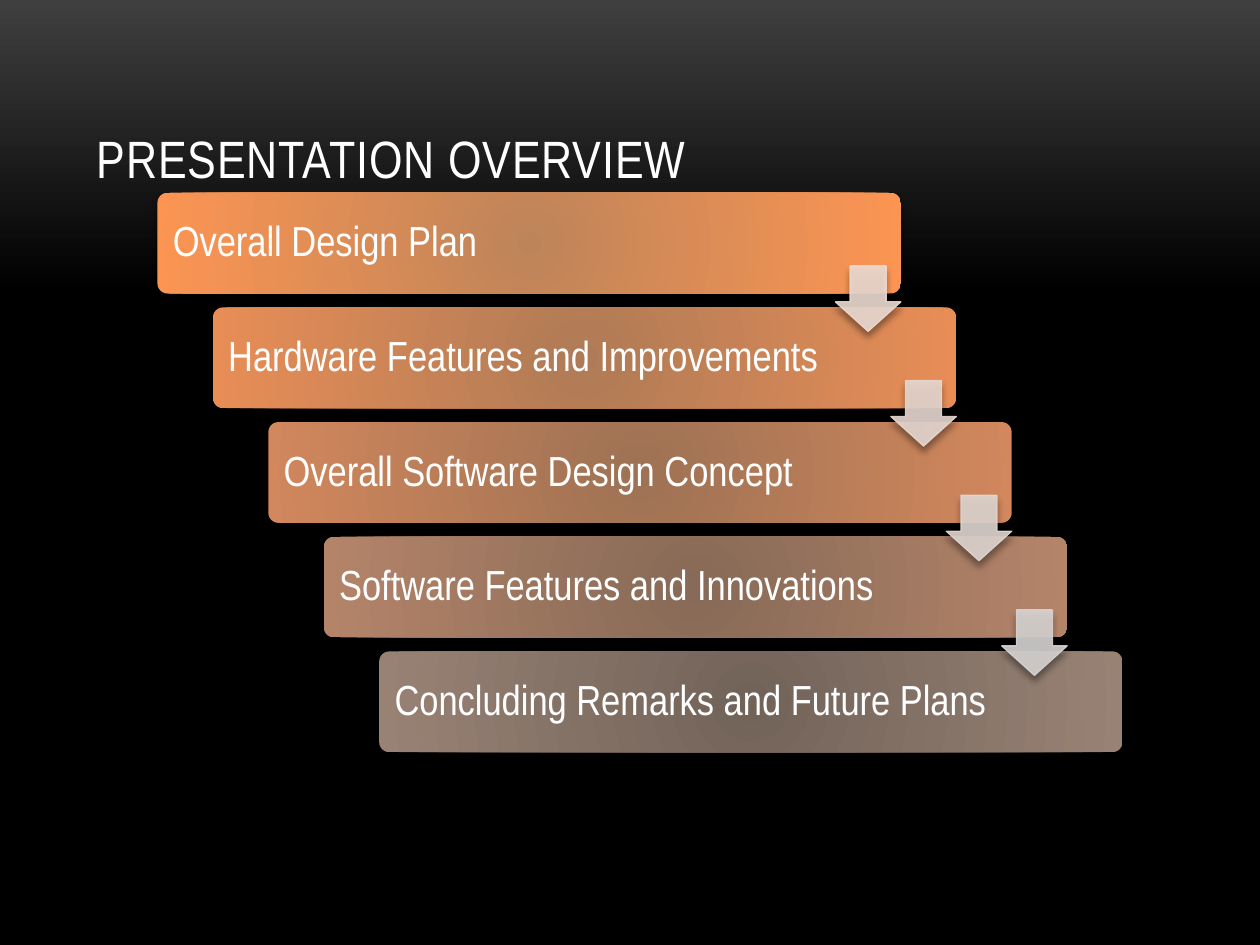
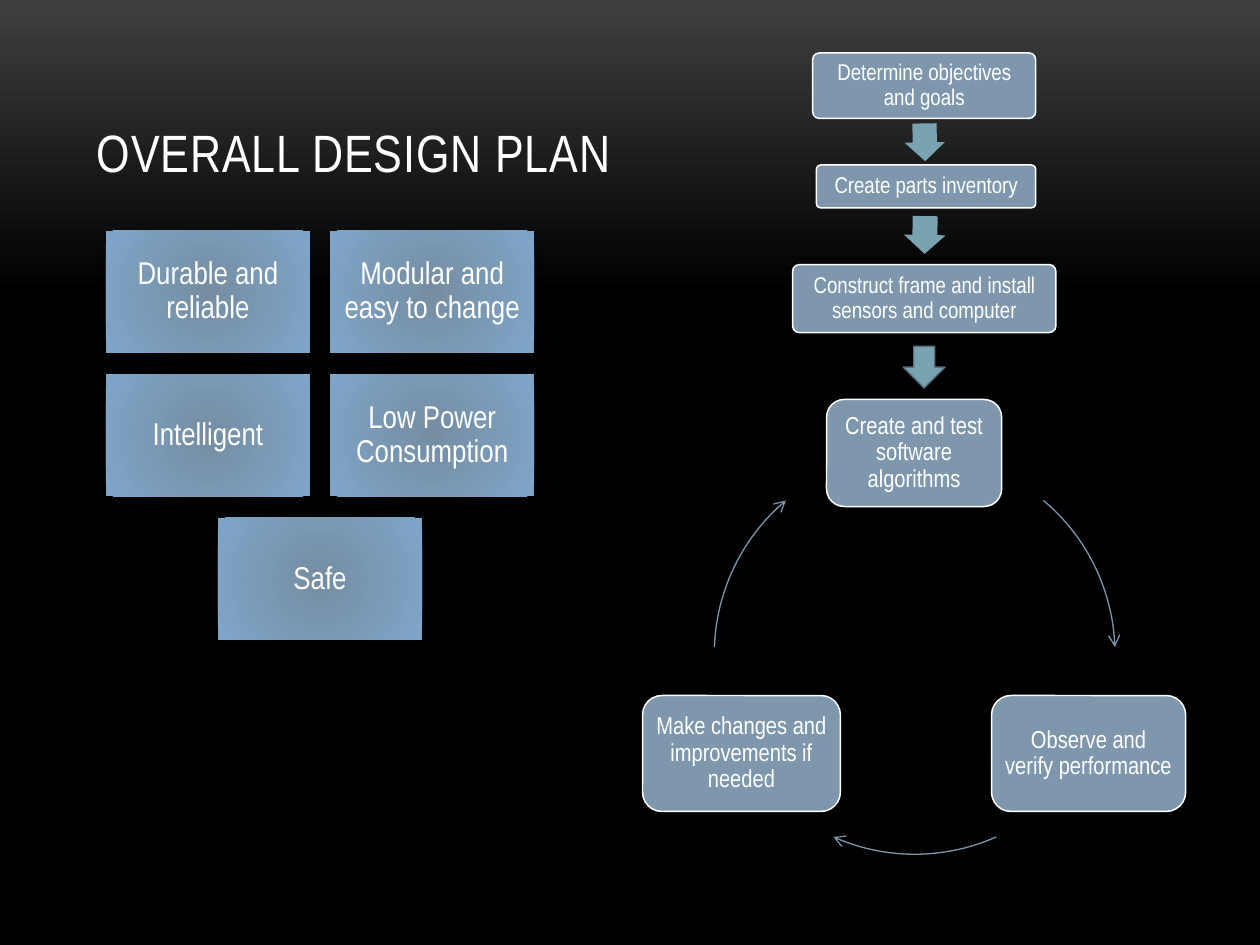
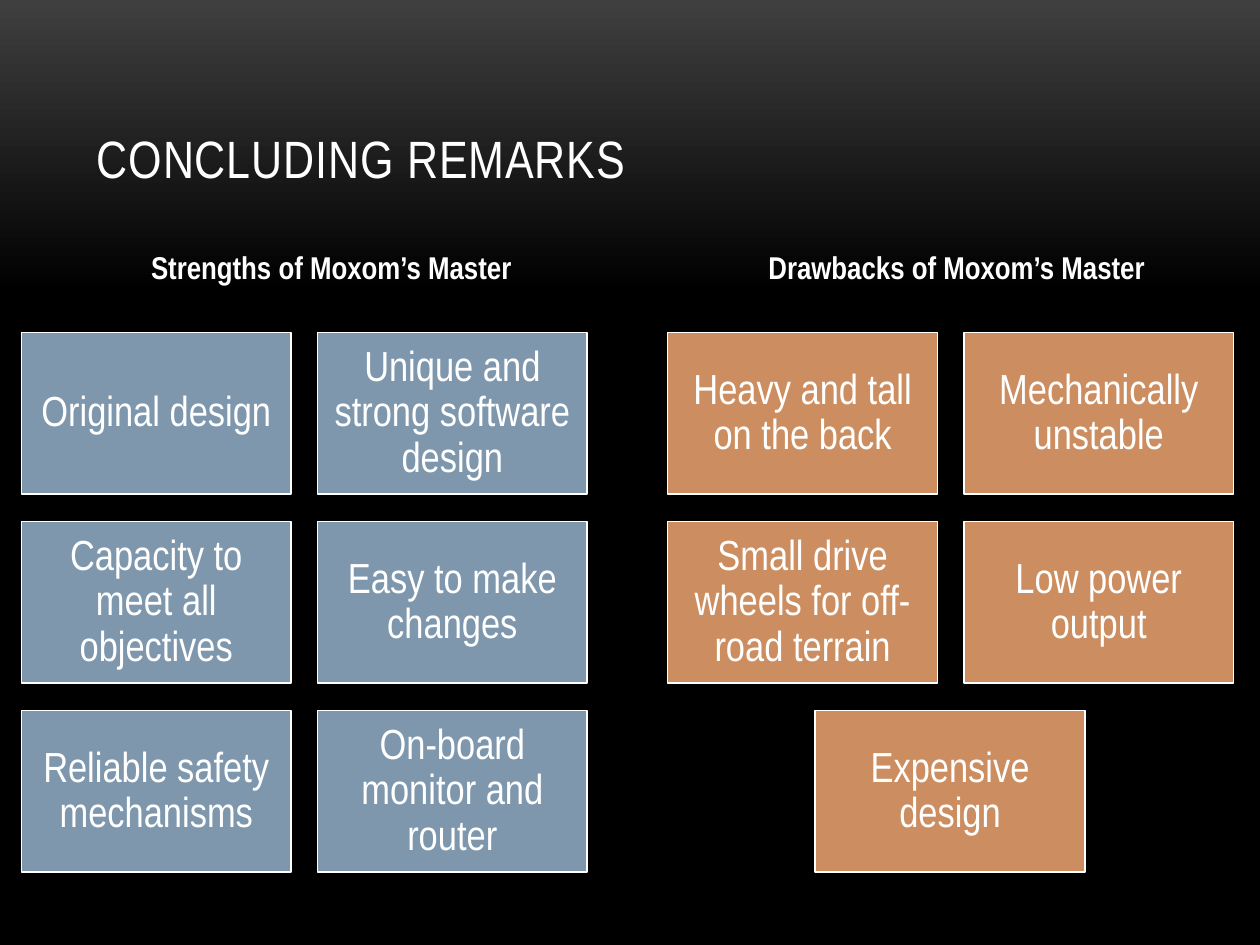
from dataclasses import dataclass
from math import cos, radians, sin
from typing import Optional

from lxml.etree import SubElement
from pptx import Presentation
from pptx.dml.color import RGBColor
from pptx.enum.shapes import MSO_SHAPE
from pptx.enum.text import MSO_ANCHOR, PP_ALIGN
from pptx.oxml.ns import qn
from pptx.util import Emu, Pt

EMU_PER_PX = 9144
FONT = "Arial Narrow"

WHITE = RGBColor(0xFF, 0xFF, 0xFF)
BLACK = RGBColor(0x00, 0x00, 0x00)
CHARCOAL = RGBColor(0x3F, 0x3F, 0x3F)
SLATE = RGBColor(0x7E, 0x97, 0xAD)
SLATE_DARK = RGBColor(0x5D, 0x70, 0x80)
TEAL = RGBColor(0x7A, 0xA3, 0xB2)
COPPER = RGBColor(0xCC, 0x8E, 0x60)
BLUE_CORE = RGBColor(0x75, 0x8D, 0xA1)
BLUE_EDGE = RGBColor(0x7F, 0xA6, 0xCA)


@dataclass(frozen=True)
class Rect:
    x: int
    y: int
    w: int
    h: int


@dataclass(frozen=True)
class BoxStyle:
    fill: RGBColor
    size: int
    inset: int
    edge: Optional[RGBColor] = None
    shape: MSO_SHAPE = MSO_SHAPE.RECTANGLE
    corner: Optional[float] = None
    align: PP_ALIGN = PP_ALIGN.CENTER


@dataclass(frozen=True)
class Step:
    text: str
    rect: Rect


@dataclass(frozen=True)
class Bar:
    text: str
    core: RGBColor
    edge: RGBColor
    arrow: Optional[RGBColor] = None


@dataclass(frozen=True)
class Panel:
    heading: str
    heading_rect: Rect
    left: int
    fill: RGBColor
    labels: tuple[str, ...]


BARS = (
    Bar("Overall Design Plan", RGBColor(0xBE, 0x84, 0x59),
        RGBColor(0xFC, 0x95, 0x53), RGBColor(0xEC, 0xDB, 0xD2)),
    Bar("Hardware Features and Improvements", RGBColor(0xAF, 0x7B, 0x56),
        RGBColor(0xE8, 0x8D, 0x56), RGBColor(0xE6, 0xD8, 0xD1)),
    Bar("Overall Software Design Concept", RGBColor(0x9E, 0x72, 0x54),
        RGBColor(0xD2, 0x87, 0x5C), RGBColor(0xDF, 0xD6, 0xD1)),
    Bar("Software Features and Innovations", RGBColor(0x87, 0x6A, 0x57),
        RGBColor(0xB4, 0x84, 0x69), RGBColor(0xD7, 0xD4, 0xD2)),
    Bar("Concluding Remarks and Future Plans", RGBColor(0x72, 0x63, 0x59),
        RGBColor(0x98, 0x82, 0x74)),
)

GOALS = ("Durable and reliable", "Modular and easy to change", "Intelligent",
         "Low Power Consumption", "Safe")
GOAL_STYLE = BoxStyle(BLUE_CORE, 18, 7, BLUE_EDGE)

FLOW = (
    Step("Determine objectives and goals", Rect(645, 42, 177, 52)),
    Step("Create parts inventory", Rect(648, 131, 174, 34)),
    Step("Construct frame and install sensors and computer", Rect(629, 210, 209, 54)),
)
FLOW_STYLE = BoxStyle(SLATE, 13, 5, shape=MSO_SHAPE.ROUNDED_RECTANGLE, corner=0.1)
FLOW_ARROWS = ((Rect(719, 97, 30, 32), 89), (Rect(719, 170, 30, 33), 90.9))

CYCLE = (
    Step("Create and test software algorithms", Rect(656, 317, 139, 85)),
    Step("Observe and verify performance", Rect(787, 552, 154, 92)),
    Step("Make changes and improvements if needed", Rect(510, 552, 157, 92)),
)
CYCLE_STYLE = BoxStyle(SLATE, 14, 6, shape=MSO_SHAPE.ROUNDED_RECTANGLE)
CYCLE_CENTRE = (726, 519)
CYCLE_RADIUS = 159
ARC_STARTS = (-50, 66, 182)
ARC_SWEEP = 48

PANELS = (
    Panel("Strengths of Moxom’s Master", Rect(110, 192, 309, 40), 17, SLATE,
          ("Original design", "Unique and strong software design",
           "Capacity to meet all objectives", "Easy to make changes",
           "Reliable safety mechanisms", "On-board monitor and router")),
    Panel("Drawbacks of Moxom’s Master", Rect(600, 192, 322, 40), 530, COPPER,
          ("Heavy and tall on the back", "Mechanically unstable",
           "Small drive wheels for off-road terrain", "Low power output",
           "Expensive design")),
)


def px(n: float) -> Emu:
    return Emu(round(n * EMU_PER_PX))


def place(rect: Rect) -> tuple[Emu, Emu, Emu, Emu]:
    return px(rect.x), px(rect.y), px(rect.w), px(rect.h)


def add_run(p, text: str, size: int, bold: bool = False):
    r = p.add_run()
    r.text = text
    r.font.name = FONT
    r.font.size = Pt(size)
    r.font.bold = bold
    r.font.color.rgb = WHITE
    return r


def set_stops(fill, first: RGBColor, last: RGBColor, end: float = 1.0) -> None:
    fill.gradient()
    for stop, color, position in zip(fill.gradient_stops, (first, last), (0, end)):
        stop.color.rgb = color
        stop.position = position


def set_radial(sp, core: RGBColor, edge: RGBColor) -> None:
    set_stops(sp.fill, core, edge)
    grad = sp._element.spPr.find(qn("a:gradFill"))
    grad.remove(grad.find(qn("a:lin")))
    path = SubElement(grad, qn("a:path"), path="circle")
    SubElement(path, qn("a:fillToRect"), {side: "100000" for side in "ltrb"})


def set_shadow(sp, distance: float) -> None:
    effects = sp._element.spPr.find(qn("a:effectLst"))
    shadow = SubElement(effects, qn("a:outerShdw"), blurRad=str(Pt(4)),
                        dist=str(Pt(distance)), dir="5400000", rotWithShape="0")
    color = SubElement(shadow, qn("a:srgbClr"), val=str(BLACK))
    SubElement(color, qn("a:alpha"), val="40000")


def add_plain(s, shape: MSO_SHAPE, rect: Rect, fill: RGBColor,
              line: Optional[RGBColor] = None, width: float = 0.85):
    sp = s.shapes.add_shape(shape, *place(rect))
    sp.shadow.inherit = False
    sp.fill.solid()
    sp.fill.fore_color.rgb = fill
    if line is None:
        sp.line.fill.background()
    else:
        sp.line.color.rgb = line
        sp.line.width = Pt(width)
    return sp


def add_box(s, text: str, rect: Rect, style: BoxStyle) -> None:
    sp = add_plain(s, style.shape, rect, style.fill, None if style.edge else WHITE)
    if style.corner is not None:
        sp.adjustments[0] = style.corner
    if style.edge:
        set_radial(sp, style.fill, style.edge)
        set_shadow(sp, 2)
    tf = sp.text_frame
    tf.word_wrap = True
    tf.vertical_anchor = MSO_ANCHOR.MIDDLE
    tf.margin_left = tf.margin_right = tf.margin_top = tf.margin_bottom = px(style.inset)
    p = tf.paragraphs[0]
    p.alignment = style.align
    p.line_spacing = 0.9
    p.space_after = Pt(round(style.size * 0.35))
    add_run(p, text, style.size)


def add_pair_grid(s, labels: tuple[str, ...], first: Rect, pitch_x: int,
                  pitch_y: int, style: BoxStyle) -> None:
    for i, label in enumerate(labels):
        row, col = divmod(i, 2)
        alone = col == 0 and i == len(labels) - 1
        x = first.x + (pitch_x // 2 if alone else col * pitch_x)
        add_box(s, label, Rect(x, first.y + row * pitch_y, first.w, first.h), style)


def add_glass_arrow(s, rect: Rect, color: RGBColor) -> None:
    sp = add_plain(s, MSO_SHAPE.DOWN_ARROW, rect, color, color, 0.75)
    sp.adjustments[0] = 0.55
    sp.adjustments[1] = 0.45
    for clr in sp._element.spPr.iter(qn("a:srgbClr")):
        SubElement(clr, qn("a:alpha"), val="90000")
    set_shadow(sp, 3.4)


def add_cycle_arc(s, start: int) -> None:
    cx, cy = CYCLE_CENTRE
    points = [(px(cx + CYCLE_RADIUS * cos(radians(a))),
               px(cy + CYCLE_RADIUS * sin(radians(a))))
              for a in range(start, start + ARC_SWEEP + 1, 2)]
    builder = s.shapes.build_freeform(*points[0])
    builder.add_line_segments(points[1:], close=False)
    sp = builder.convert_to_shape()
    sp.shadow.inherit = False
    sp.fill.background()
    sp.line.color.rgb = SLATE
    sp.line.width = Pt(0.75)
    SubElement(sp._element.spPr.find(qn("a:ln")), qn("a:tailEnd"), type="arrow")


def add_slide(prs, title: str, title_top: int = 30):
    s = prs.slides.add_slide(prs.slide_layouts[6])
    fill = s.background.fill
    set_stops(fill, CHARCOAL, BLACK, 0.31)
    fill.gradient_angle = 270
    tf = s.shapes.add_textbox(*place(Rect(67, title_top, 867, 125))).text_frame
    tf.word_wrap = True
    tf.vertical_anchor = MSO_ANCHOR.BOTTOM
    r = add_run(tf.paragraphs[0], title, 30)
    r.font._element.set("spc", "50")
    return s


def build_overview(prs) -> None:
    s = add_slide(prs, "PRESENTATION OVERVIEW")
    for i, bar in enumerate(BARS):
        style = BoxStyle(bar.core, 24, 10, bar.edge, MSO_SHAPE.ROUNDED_RECTANGLE,
                         0.1, PP_ALIGN.LEFT)
        add_box(s, bar.text, Rect(125 + 44 * i, 153 + 91 * i, 590, 80), style)
    for i, bar in enumerate(BARS):
        if bar.arrow:
            add_glass_arrow(s, Rect(663 + 44 * i, 211 + 91 * i, 52, 52), bar.arrow)


def build_design_plan(prs) -> None:
    s = add_slide(prs, "OVERALL DESIGN PLAN", 25)
    for step, start in zip(CYCLE, ARC_STARTS):
        add_box(s, step.text, step.rect, CYCLE_STYLE)
        add_cycle_arc(s, start)
    for step in FLOW:
        add_box(s, step.text, step.rect, FLOW_STYLE)
    for rect, angle in FLOW_ARROWS:
        sp = add_plain(s, MSO_SHAPE.RIGHT_ARROW, rect, TEAL)
        sp.adjustments[0] = 0.6
        sp.rotation = angle
    add_plain(s, MSO_SHAPE.DOWN_ARROW, Rect(717, 275, 33, 33), TEAL, SLATE_DARK)
    add_pair_grid(s, GOALS, Rect(84, 183, 162, 97), 178, 114, GOAL_STYLE)


def build_conclusion(prs) -> None:
    s = add_slide(prs, "CONCLUDING REMARKS")
    for panel in PANELS:
        tf = s.shapes.add_textbox(*place(panel.heading_rect)).text_frame
        tf.word_wrap = False
        add_run(tf.paragraphs[0], panel.heading, 18, bold=True)
        add_pair_grid(s, panel.labels, Rect(panel.left, 264, 214, 128), 235, 150,
                      BoxStyle(panel.fill, 24, 10))


def main() -> None:
    prs = Presentation()
    prs.slide_width, prs.slide_height = px(1000), px(750)
    build_overview(prs)
    build_design_plan(prs)
    build_conclusion(prs)
    prs.save("out.pptx")


if __name__ == "__main__":
    main()
